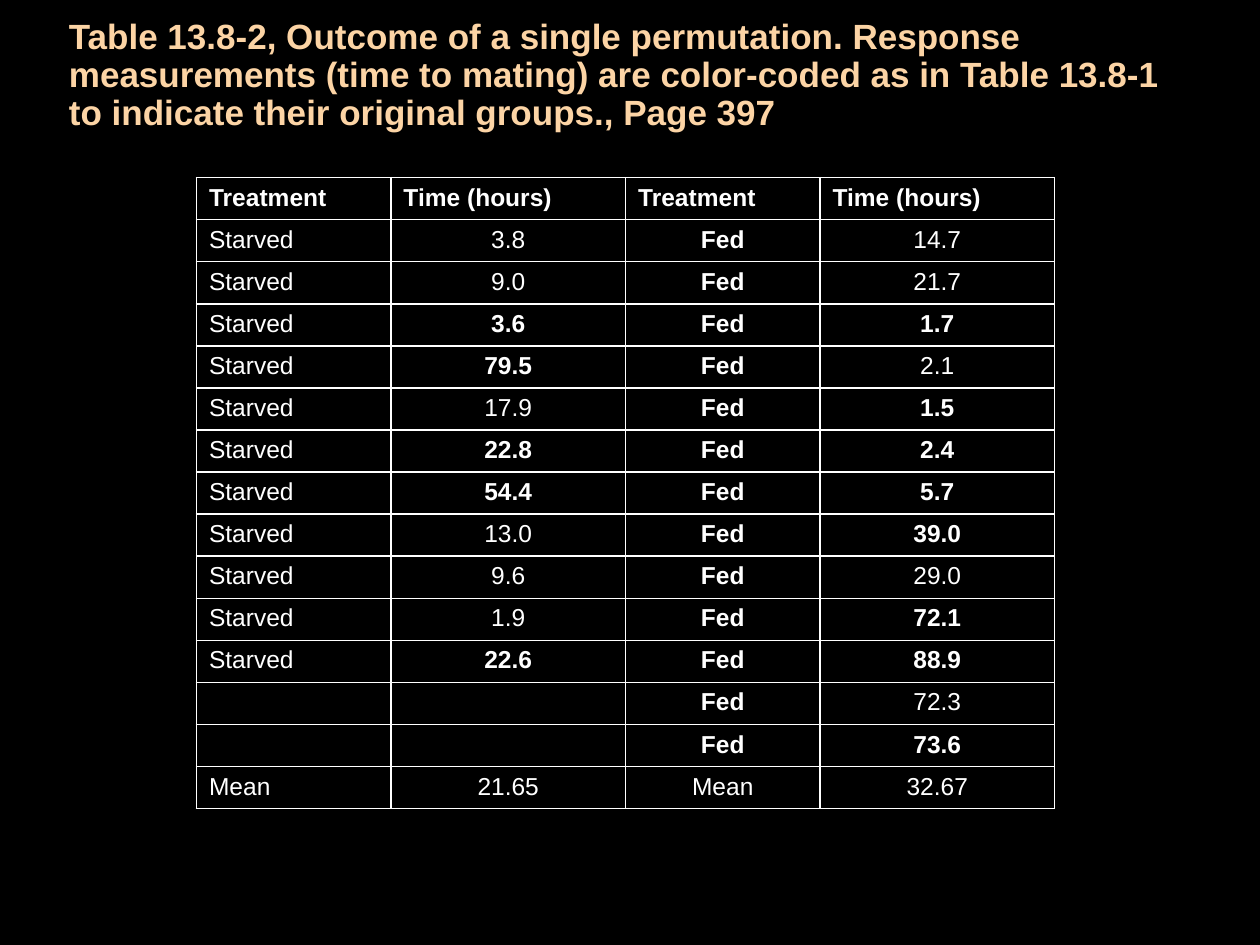
import itertools

import lxml.etree
import pptx
import pptx.dml.color
import pptx.enum.text
import pptx.oxml.ns
import pptx.util

Cm = pptx.util.Cm
Pt = pptx.util.Pt
LEFT = pptx.enum.text.PP_ALIGN.LEFT
CENTER = pptx.enum.text.PP_ALIGN.CENTER

FONT = "Arial"
WHITE = "FFFFFF"
TITLE = (
    "Table 13.8-2, Outcome of a single permutation. Response measurements "
    "(time to mating) are color-coded as in Table 13.8-1 to indicate their "
    "original groups., Page 397"
)
HEADINGS = ["Treatment", "Time (hours)"] * 2
STARVED_TIMES = ["3.8", "9.0", "3.6", "79.5", "17.9", "22.8", "54.4", "13.0",
                 "9.6", "1.9", "22.6"]
FED_TIMES = ["14.7", "21.7", "1.7", "2.1", "1.5", "2.4", "5.7", "39.0",
             "29.0", "72.1", "88.9", "72.3", "73.6"]
MEANS = ["Mean", "21.65", "Mean", "32.67"]
BOLD_TEXTS = {*HEADINGS, "Fed", "3.6", "79.5", "22.8", "54.4", "22.6", "1.7",
              "1.5", "2.4", "5.7", "39.0", "72.1", "88.9", "73.6"}
COLUMN_WIDTHS = [Cm(3.92), Cm(4.73)] * 2
ROW_HEIGHT = Cm(0.81)
TEXT_SIZE = 14


def color(hex_string):
    return pptx.dml.color.RGBColor.from_string(hex_string)


def add_run(paragraph, text, size, hex_color, bold):
    run = paragraph.add_run()
    run.text = text
    run.font.name = FONT
    run.font.size = Pt(size)
    run.font.bold = bold
    run.font.color.rgb = color(hex_color)


def add_title(slide):
    shape = slide.shapes.add_textbox(Cm(1.14), Cm(0.69), Cm(22.83), Cm(1.7))
    frame = shape.text_frame
    frame.word_wrap = True
    frame.vertical_anchor = pptx.enum.text.MSO_ANCHOR.MIDDLE
    paragraph = frame.paragraphs[0]
    paragraph.line_spacing = 0.9
    add_run(paragraph, TITLE, 20, "FCD4A5", True)


def set_borders(cell, hex_color, width):
    """Line all four sides; borders must come before the fill in the XML."""
    properties = cell._tc.get_or_add_tcPr()
    qn = pptx.oxml.ns.qn
    for position, side in enumerate(["a:lnL", "a:lnR", "a:lnT", "a:lnB"]):
        line = lxml.etree.Element(qn(side), w=str(Pt(width)))
        fill = lxml.etree.SubElement(line, qn("a:solidFill"))
        lxml.etree.SubElement(fill, qn("a:srgbClr"), val=hex_color)
        properties.insert(position, line)


def set_empty_text_size(paragraph, size):
    """Keep an empty cell from growing to the default text size."""
    lxml.etree.SubElement(paragraph._p, pptx.oxml.ns.qn("a:endParaRPr"),
                          sz=str(size * 100))


def fill_cell(cell, text, alignment):
    cell.fill.background()
    set_borders(cell, WHITE, 1)
    paragraph = cell.text_frame.paragraphs[0]
    paragraph.alignment = alignment
    if text:
        add_run(paragraph, text, TEXT_SIZE, WHITE, text in BOLD_TEXTS)
    else:
        set_empty_text_size(paragraph, TEXT_SIZE)


def table_rows():
    pairs = itertools.zip_longest(STARVED_TIMES, FED_TIMES, fillvalue="")
    body = [["Starved" if starved else "", starved, "Fed", fed]
            for starved, fed in pairs]
    return [HEADINGS, *body, MEANS]


def add_times_table(slide):
    rows = table_rows()
    table = slide.shapes.add_table(
        len(rows), len(COLUMN_WIDTHS), Cm(3.96), Cm(3.58),
        sum(COLUMN_WIDTHS), ROW_HEIGHT * len(rows)).table
    table.first_row = False
    table.horz_banding = False
    for column, width in zip(table.columns, COLUMN_WIDTHS):
        column.width = width
    for row_index, texts in enumerate(rows):
        table.rows[row_index].height = ROW_HEIGHT
        for column_index, text in enumerate(texts):
            is_left = row_index == 0 or column_index == 0
            fill_cell(table.cell(row_index, column_index), text,
                      LEFT if is_left else CENTER)


def main():
    presentation = pptx.Presentation()
    presentation.slide_width = Cm(25.4)
    presentation.slide_height = Cm(19.05)
    slide = presentation.slides.add_slide(presentation.slide_layouts[6])
    slide.background.fill.solid()
    slide.background.fill.fore_color.rgb = color("000000")
    add_title(slide)
    add_times_table(slide)
    presentation.save("out.pptx")


if __name__ == "__main__":
    main()
